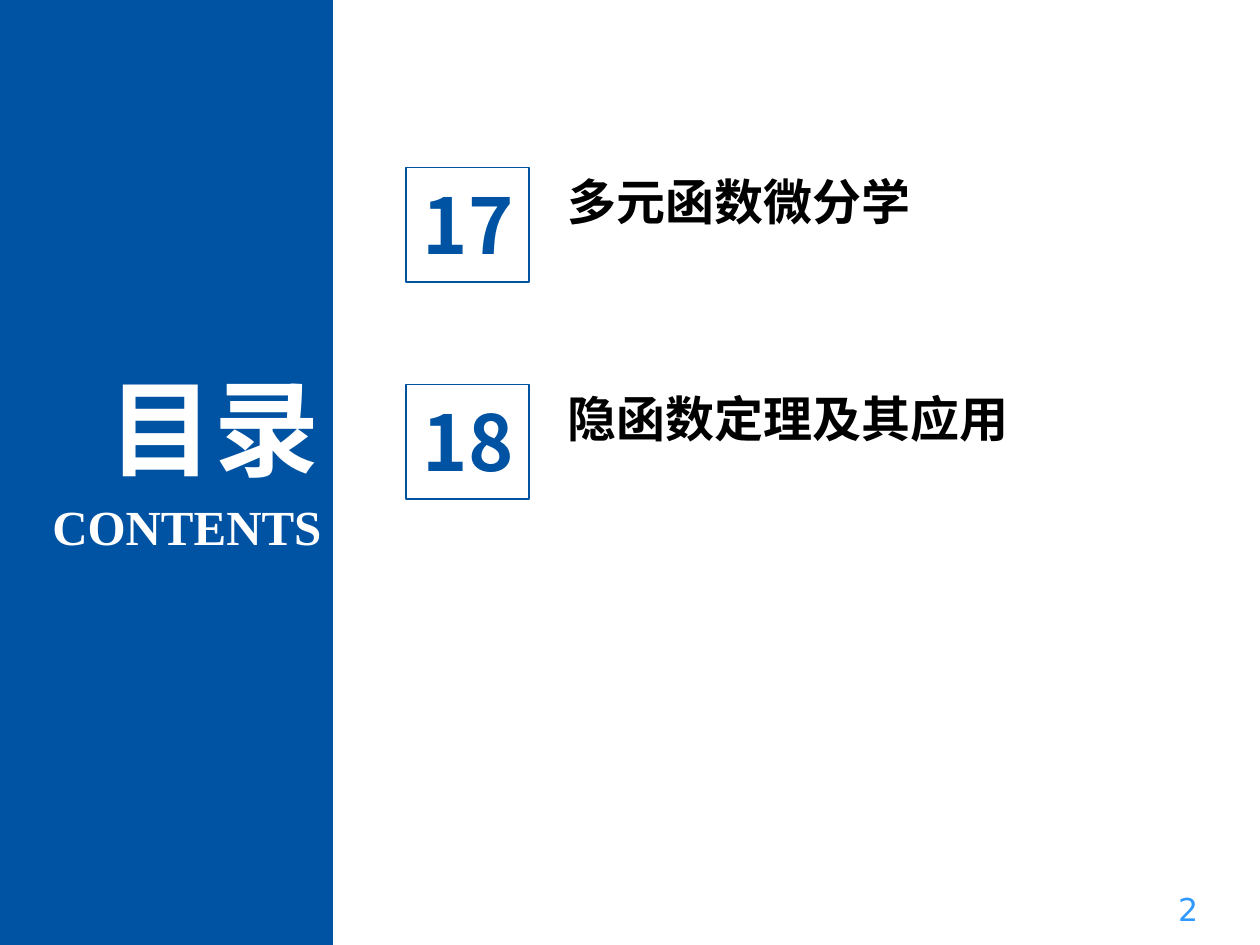
from dataclasses import dataclass

from lxml.etree import SubElement
from pptx import Presentation
from pptx.dml.color import RGBColor
from pptx.enum.shapes import MSO_SHAPE as Preset
from pptx.enum.text import PP_ALIGN as Align
from pptx.oxml.ns import qn
from pptx.shapes.autoshape import Shape
from pptx.util import Cm, Pt

COLORS = {"blue": "0053A3", "white": "FFFFFF", "black": "000000", "page": "2F99FF"}
CHINESE_FONT = "Noto Sans CJK SC"
FIRST_TOP = 3.38
ENTRY_PITCH = 4.37


@dataclass(frozen=True)
class Box:
    left: float
    top: float
    width: float
    height: float

    def lengths(self) -> tuple[Cm, ...]:
        return tuple(Cm(value) for value in (self.left, self.top, self.width, self.height))


@dataclass(frozen=True)
class Style:
    size: int
    color: str
    align: Align = Align.LEFT
    font: str = CHINESE_FONT
    bold: bool = True


@dataclass(frozen=True)
class Entry:
    number: str
    title: str
    title_width: float


ENTRIES = [Entry("17", "多元函数微分学", 7.7), Entry("18", "隐函数定理及其应用", 12.01)]
HEADING = Style(60, "white", Align.RIGHT)
SUBHEADING = Style(28, "white", Align.RIGHT, "Times New Roman")
ENTRY_TITLE = Style(28, "black")
ENTRY_NUMBER = Style(44, "blue", Align.CENTER)
PAGE_NUMBER = Style(18, "page", Align.CENTER, "DejaVu Sans", False)


def color(name: str) -> RGBColor:
    return RGBColor.from_string(COLORS[name])


def add_text(shapes, text: str, box: Box, style: Style) -> None:
    frame = shapes.add_textbox(*box.lengths()).text_frame
    frame.word_wrap = True
    paragraph = frame.paragraphs[0]
    paragraph.text = text
    paragraph.alignment = style.align
    font = paragraph.font
    font.name = style.font
    font.size = Pt(style.size)
    font.bold = style.bold
    font.color.rgb = color(style.color)
    properties = paragraph._p.pPr.find(qn("a:defRPr"))
    SubElement(properties, qn("a:ea"), typeface=style.font)


def add_rectangle(shapes, box: Box) -> Shape:
    shape = shapes.add_shape(Preset.RECTANGLE, *box.lengths())
    shape.shadow.inherit = False
    return shape


def add_entry(slide, entry: Entry, top: float) -> None:
    shapes = slide.shapes.add_group_shape().shapes
    add_text(shapes, entry.title, Box(11.2, top - 0.05, entry.title_width, 1.45), ENTRY_TITLE)
    add_text(shapes, entry.number, Box(8.08, top + 0.07, 2.72, 2.13), ENTRY_NUMBER)
    frame = add_rectangle(shapes, Box(8.18, top, 2.49, 2.31))
    frame.fill.background()
    frame.line.color.rgb = color("blue")
    frame.line.width = Pt(1)


def main() -> None:
    presentation = Presentation()
    presentation.slide_width, presentation.slide_height = Cm(25.4), Cm(19.05)
    slide = presentation.slides.add_slide(presentation.slide_layouts[6])

    sidebar = add_rectangle(slide.shapes, Box(0, 0, 6.71, 19.05))
    sidebar.fill.solid()
    sidebar.fill.fore_color.rgb = color("blue")
    sidebar.line.fill.background()

    add_text(slide.shapes, "目录", Box(1.85, 7.21, 4.83, 2.82), HEADING)
    add_text(slide.shapes, "CONTENTS", Box(0, 9.88, 6.73, 1.45), SUBHEADING)
    for index, entry in enumerate(ENTRIES):
        add_entry(slide, entry, FIRST_TOP + index * ENTRY_PITCH)
    add_text(slide.shapes, "2", Box(22.5, 17.81, 2.9, 1.02), PAGE_NUMBER)

    presentation.save("out.pptx")


if __name__ == "__main__":
    main()
